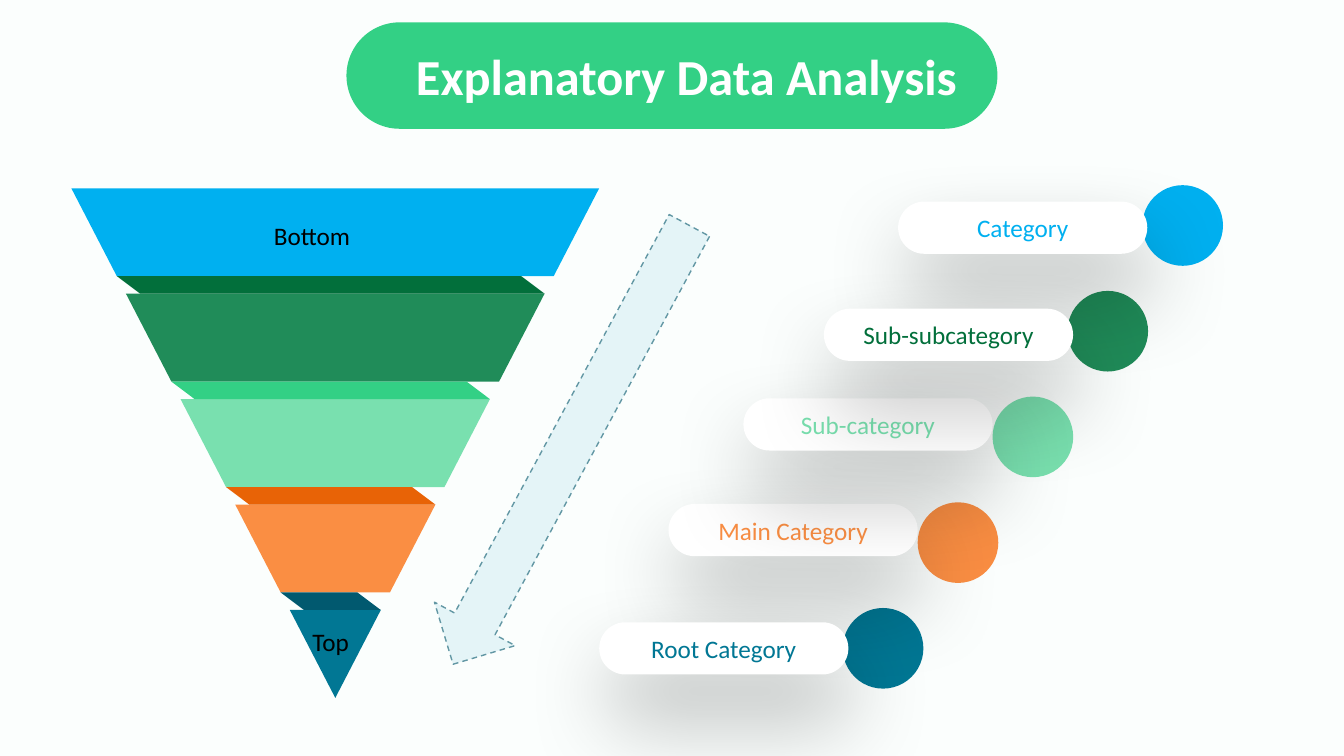
"""Build a slide with an inverted category pyramid and its staircase legend."""
from lxml.etree import SubElement
from pptx import Presentation
from pptx.dml.color import RGBColor
from pptx.enum.dml import MSO_LINE_DASH_STYLE as DASH
from pptx.enum.shapes import MSO_SHAPE as SHAPE
from pptx.enum.text import MSO_ANCHOR as ANCHOR, MSO_AUTO_SIZE as AUTO, PP_ALIGN as ALIGN
from pptx.oxml.ns import qn
from pptx.util import Pt


def paint(fill, colour):
    fill.solid()
    fill.fore_color.rgb = RGBColor.from_string(colour)


def write(shape, text, size=18, colour="000000", bold=False, align=ALIGN.LEFT,
          anchor=ANCHOR.TOP, wrap=True, grow=True):
    frame = shape.text_frame
    frame.word_wrap = wrap
    frame.auto_size = AUTO.SHAPE_TO_FIT_TEXT if grow else AUTO.NONE
    frame.vertical_anchor = anchor
    paragraph = frame.paragraphs[0]
    paragraph.alignment = align
    run = paragraph.add_run()
    run.text = text
    run.font.name, run.font.size, run.font.bold = "Calibri", Pt(size), bold
    paint(run.font.fill, colour)


deck = Presentation()
deck.slide_width, deck.slide_height = Pt(960), Pt(540)
slide = deck.slides.add_slide(deck.slide_layouts[6])
paint(slide.background.fill, "FBFEFD")
shapes = slide.shapes

heading = shapes.add_group_shape()
banner = heading.shapes.add_shape(SHAPE.ROUNDED_RECTANGLE, Pt(247.5), Pt(16), Pt(465), Pt(76))
banner.adjustments[0] = 0.5
paint(banner.fill, "33D085")
title = heading.shapes.add_textbox(Pt(283), Pt(28.8), Pt(415), Pt(51))
write(title, "Explanatory Data Analysis", size=36, colour="FFFFFF", bold=True, align=ALIGN.CENTER)
borderless = [banner]

TIER_COLOURS = ["00B0F0", "208C59", "79E0AF", "FA8E43", "017794"]
FOLD_COLOURS = ["026F3B", "33D085", "E86306", "01596F"]
LEFT, TOP, WIDTH = 51, 134.5, 377
TIER_HEIGHT, FOLD_HEIGHT, INSET, STEP = 62.8, 12.5, 32.5, 39
PITCH = TIER_HEIGHT + FOLD_HEIGHT

for level, colour in enumerate(TIER_COLOURS):
    left, top = LEFT + level * STEP, TOP + level * PITCH
    right, bottom = left + WIDTH - 2 * level * STEP, top + TIER_HEIGHT
    corners = [(right, top), (right - INSET, bottom)]
    if right - left > 2 * INSET:
        corners.append((left + INSET, bottom))
    outline = shapes.build_freeform(Pt(left), Pt(top))
    outline.add_line_segments([(Pt(x), Pt(y)) for x, y in corners], close=True)
    tier = outline.convert_to_shape()
    paint(tier.fill, colour)
    borderless.append(tier)

for level, colour in enumerate(FOLD_COLOURS):
    fold = shapes.add_shape(
        SHAPE.PARALLELOGRAM, Pt(LEFT + level * STEP + INSET), Pt(TOP + level * PITCH + TIER_HEIGHT),
        Pt(WIDTH - (2 * level + 1) * STEP - INSET), Pt(FOLD_HEIGHT))
    fold.adjustments[0] = 1.33
    fold.rotation = 180
    fold._element.spPr.find(qn("a:xfrm")).set("flipH", "1")
    paint(fold.fill, colour)
    borderless.append(fold)

for level, colour in enumerate(TIER_COLOURS):
    dot = shapes.add_shape(SHAPE.OVAL, Pt(816 - level * 53.5), Pt(132.3 + level * 75.5), Pt(57.6), Pt(57.6))
    paint(dot.fill, colour)
    borderless.append(dot)

CATEGORIES = [
    ("Category", 641.5, 144, "00B0F0"),
    ("Main Category", 477.5, 360, "FA8E43"),
    ("Sub-category", 531, 284.5, "79E0AF"),
    ("Sub-subcategory", 588.5, 220.5, "026F3B"),
    ("Root Category", 428, 444.5, "017794"),
]
labels = []
for name, left, top, colour in CATEGORIES:
    label = shapes.add_shape(SHAPE.ROUNDED_RECTANGLE, Pt(left), Pt(top), Pt(178), Pt(37.3))
    label.adjustments[0] = 0.5
    paint(label.fill, "FFFFFF")
    write(label, name, colour=colour, align=ALIGN.CENTER, anchor=ANCHOR.MIDDLE, grow=False)
    labels.append(label)

for shape in borderless + labels:
    shape.line.fill.background()
    shape.shadow.inherit = False

for label in labels:
    effects = label._element.spPr.find(qn("a:effectLst"))
    shadow = SubElement(effects, qn("a:outerShdw"), blurRad=str(Pt(63)), dist=str(Pt(31)),
                        dir=str(82 * 60000), algn="t", rotWithShape="0")
    black = SubElement(shadow, qn("a:srgbClr"), val="000000")
    SubElement(black, qn("a:alpha"), val="29000")

arrow = shapes.add_shape(SHAPE.RIGHT_ARROW, Pt(230), Pt(285), Pt(356), Pt(65.5))
arrow.rotation = 118.3
arrow.shadow.inherit = False
paint(arrow.fill, "85CCDE")
tint = arrow._element.spPr.find(qn("a:solidFill")).find(qn("a:srgbClr"))
SubElement(tint, qn("a:alpha"), val="19000")
paint(arrow.line.fill, "6297A4")
arrow.line.width = Pt(1)
arrow.line.dash_style = DASH.DASH

bottom_label = shapes.add_textbox(Pt(188.5), Pt(154), Pt(142), Pt(29))
write(bottom_label, "Bottom")
top_label = shapes.add_textbox(Pt(216), Pt(443.5), Pt(41), Pt(29))
write(top_label, "Top", wrap=False)

deck.save("out.pptx")
